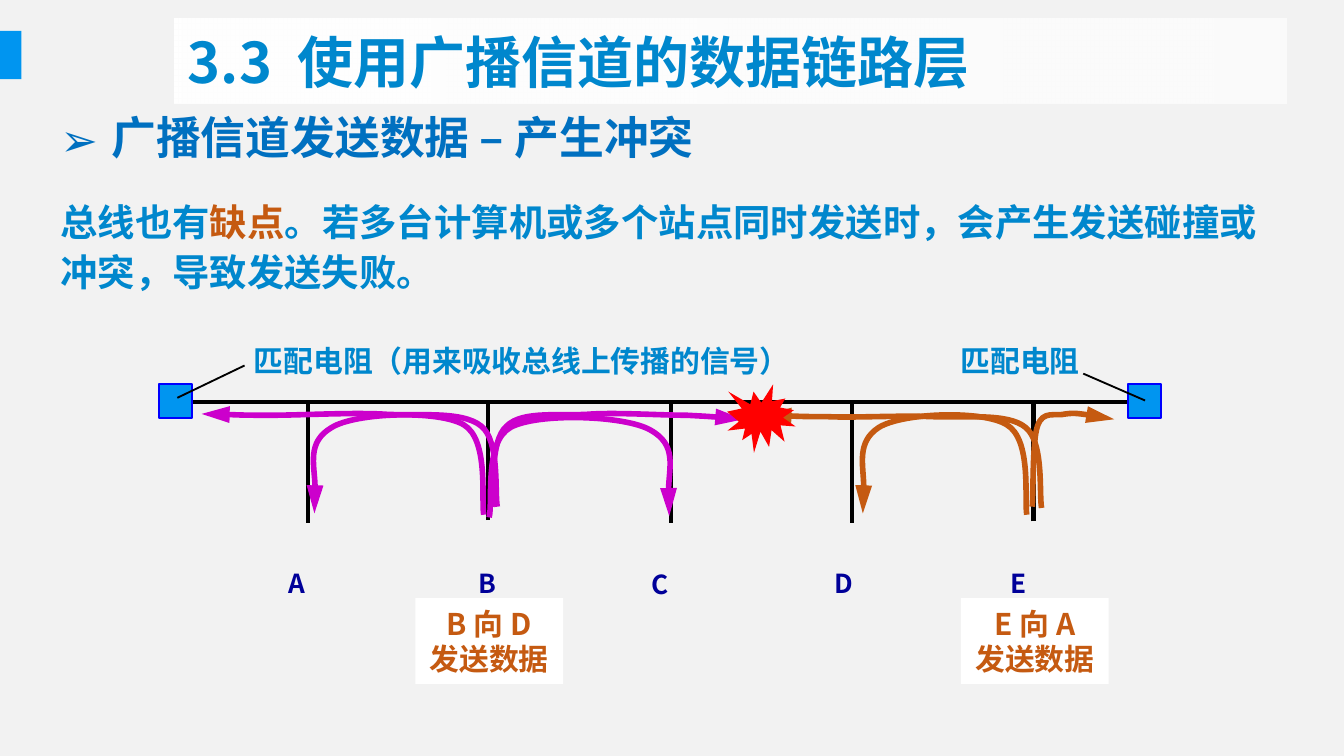
from dataclasses import dataclass

from lxml import etree
from pptx import Presentation
from pptx.dml.color import RGBColor
from pptx.enum.shapes import MSO_CONNECTOR, MSO_SHAPE
from pptx.enum.text import MSO_ANCHOR, PP_ALIGN
from pptx.oxml.ns import qn
from pptx.util import Inches, Pt

STRAIGHT = MSO_CONNECTOR.STRAIGHT
RECTANGLE = MSO_SHAPE.RECTANGLE
BURST = MSO_SHAPE.EXPLOSION1
LEFT = PP_ALIGN.LEFT
CENTER = PP_ALIGN.CENTER
MIDDLE = MSO_ANCHOR.MIDDLE


@dataclass(frozen=True)
class Theme:
    font: str = "Noto Sans CJK SC"
    background: str = "F2F2F2"
    white: str = "FFFFFF"
    black: str = "000000"
    accent: str = "0095F0"
    outline: str = "0000FF"
    body: str = "0087CD"
    heading: str = "0070C0"
    station: str = "000099"
    orange: str = "C55A11"
    magenta: str = "CC00CC"
    collision: str = "FF0000"
    title_size: int = 30
    heading_size: int = 24
    body_size: int = 20
    label_size: int = 16
    station_size: int = 14


THEME = Theme()

BUS_Y = 2.99
STATIONS = [
    ("A", 2.29, 3.89, 2.21, 4.17),
    ("B", 3.63, 3.87, 3.63, 4.17),
    ("C", 4.99, 3.89, 4.91, 4.18),
    ("D", 6.34, 3.89, 6.28, 4.17),
    ("E", 7.69, 3.88, 7.58, 4.17),
]
SIGNALS_FROM_B = [
    [(3.66, 3.77), (3.68, 3.67), (3.64, 3.28), (3.77, 3.17), (3.89, 3.05), (4.18, 3.1), (4.41, 3.08),
     (4.63, 3.07), (4.92, 3.09), (5.11, 3.09), (5.3, 3.1), (5.44, 3.11), (5.53, 3.12)],
    [(3.64, 3.85), (3.67, 3.73), (3.6, 3.29), (3.8, 3.18), (4, 3.07), (4.65, 3.09), (4.84, 3.2),
     (5.04, 3.31), (4.95, 3.71), (4.98, 3.84)],
    [(3.7, 3.77), (3.68, 3.67), (3.72, 3.28), (3.58, 3.17), (3.43, 3.05), (3.09, 3.1), (2.83, 3.08),
     (2.57, 3.07), (2.23, 3.09), (2.01, 3.09), (1.78, 3.09), (1.61, 3.08), (1.5, 3.08)],
    [(3.6, 3.83), (3.58, 3.72), (3.64, 3.27), (3.45, 3.16), (3.26, 3.05), (2.65, 3.07), (2.47, 3.18),
     (2.28, 3.29), (2.37, 3.69), (2.34, 3.82)],
]
SIGNALS_FROM_E = [
    [(7.68, 3.77), (7.69, 3.67), (7.68, 3.28), (7.72, 3.17), (7.76, 3.05), (7.85, 3.1), (7.93, 3.08),
     (8, 3.07), (8.09, 3.09), (8.15, 3.09), (8.21, 3.1), (8.26, 3.11), (8.29, 3.12)],
    [(7.75, 3.78), (7.73, 3.68), (7.77, 3.29), (7.63, 3.18), (7.5, 3.07), (7.17, 3.11), (6.93, 3.1),
     (6.68, 3.09), (6.36, 3.11), (6.15, 3.1), (5.94, 3.1), (5.77, 3.09), (5.68, 3.09)],
    [(7.64, 3.83), (7.62, 3.72), (7.68, 3.27), (7.49, 3.16), (7.31, 3.05), (6.72, 3.07), (6.54, 3.18),
     (6.37, 3.29), (6.45, 3.69), (6.42, 3.82)],
]


def color(value):
    return RGBColor.from_string(value)


def style_paragraph(paragraph, size, text_color, align=LEFT):
    paragraph.alignment = align
    paragraph.font.size = Pt(size)
    paragraph.font.bold = True
    paragraph.font.color.rgb = color(text_color)
    paragraph.font.name = THEME.font
    defaults = paragraph._p.pPr.find(qn("a:defRPr"))
    etree.SubElement(defaults, qn("a:ea"), typeface=THEME.font)


def add_block(slide, kind, box, fill, outline=None):
    shape = slide.shapes.add_shape(kind, *map(Inches, box))
    shape.shadow.inherit = False
    shape.fill.solid()
    shape.fill.fore_color.rgb = color(fill)
    if outline:
        shape.line.color.rgb = color(outline)
        shape.line.width = Pt(1)
    else:
        shape.line.fill.background()
    return shape


def add_text(slide, box, text, size, text_color, align=LEFT, wrap=False):
    shape = slide.shapes.add_textbox(*map(Inches, box))
    shape.text_frame.word_wrap = wrap
    paragraph = shape.text_frame.paragraphs[0]
    paragraph.text = text
    style_paragraph(paragraph, size, text_color, align)
    return paragraph


def add_line(slide, start, end, width):
    line = slide.shapes.add_connector(STRAIGHT, *map(Inches, (*start, *end)))
    line.line.color.rgb = color(THEME.black)
    line.line.width = Pt(width)
    etree.SubElement(line._element.spPr, qn("a:effectLst"))


def add_signal(slide, points, line_color):
    start, *rest = [(Inches(x), Inches(y)) for x, y in points]
    builder = slide.shapes.build_freeform(*start)
    builder.add_line_segments(rest, close=False)
    shape = builder.convert_to_shape()
    shape.shadow.inherit = False
    shape.fill.background()
    shape.line.color.rgb = color(line_color)
    shape.line.width = Pt(3)
    etree.SubElement(shape.line._get_or_add_ln(), qn("a:tailEnd"), type="triangle", len="lg")
    outline = next(shape._element.iter(qn("a:path")))
    segments = outline.findall(qn("a:lnTo"))
    for index in range(0, len(segments), 3):
        curve = etree.SubElement(outline, qn("a:cubicBezTo"))
        for segment in segments[index:index + 3]:
            curve.append(segment[0])
            outline.remove(segment)


def add_title(slide, text):
    shape = add_block(slide, RECTANGLE, (1.3, 0.14, 8.27, 0.63), THEME.white)
    shape.fill.gradient()
    shape.fill.gradient_angle = 0
    for stop in shape.fill.gradient_stops:
        stop.color.rgb = color(THEME.white)
    last_color = list(shape._element.spPr.iter(qn("a:srgbClr")))[-1]
    etree.SubElement(last_color, qn("a:alpha"), val="67000")
    shape.text_frame.vertical_anchor = MIDDLE
    paragraph = shape.text_frame.paragraphs[0]
    paragraph.text = text
    style_paragraph(paragraph, THEME.title_size, THEME.body)


def add_heading(slide, text):
    paragraph = add_text(slide, (0.35, 0.77, 9.21, 0.5), text, THEME.heading_size, THEME.heading, wrap=True)
    properties = paragraph._p.pPr
    properties.set("marL", str(Inches(0.38)))
    properties.set("indent", str(Inches(-0.38)))
    defaults = properties.find(qn("a:defRPr"))
    defaults.addprevious(etree.Element(qn("a:buFont"), typeface=THEME.font))
    defaults.addprevious(etree.Element(qn("a:buChar"), char="➢"))


def add_explanation(slide):
    paragraph = add_text(slide, (0.35, 1.39, 9.21, 0.86), "总线也有", THEME.body_size, THEME.body, wrap=True)
    paragraph.line_spacing = Pt(27)
    emphasis = paragraph.add_run()
    emphasis.text = "缺点"
    emphasis.font.color.rgb = color(THEME.orange)
    paragraph.add_run().text = "。若多台计算机或多个站点同时发送时，会产生发送碰撞或冲突，导致发送失败。"


def add_caption(slide, left, route):
    shape = add_block(slide, RECTANGLE, (left, 4.45, 1.1, 0.64), THEME.white)
    shape.text_frame.word_wrap = False
    shape.text_frame.text = f"{route}\n发送数据"
    for paragraph in shape.text_frame.paragraphs:
        style_paragraph(paragraph, THEME.label_size, THEME.orange, CENTER)


def add_bus(slide):
    add_line(slide, (1.38, BUS_Y), (8.55, BUS_Y), 2.25)
    for left in (1.18, 8.39):
        add_block(slide, RECTANGLE, (left, 2.86, 0.25, 0.25), THEME.accent, THEME.outline)
    add_line(slide, (1.82, 2.72), (1.32, 2.96), 1)
    add_line(slide, (8.06, 2.78), (8.52, 2.98), 1)
    for left, width, text in ((1.79, 4.24, "匹配电阻（用来吸收总线上传播的信号）"), (7.05, 1.1, "匹配电阻")):
        add_text(slide, (left, 2.5, width, 0.37), text, THEME.label_size, THEME.body)
    for name, x, bottom, label_x, label_y in STATIONS:
        add_line(slide, (x, bottom), (x, BUS_Y), 2.25)
        add_text(slide, (label_x - 0.17, label_y, 0.34, 0.34), name, THEME.station_size, THEME.station, CENTER)


def main():
    presentation = Presentation()
    presentation.slide_width = Inches(10)
    presentation.slide_height = presentation.slide_width * 9 // 16
    slide = presentation.slides.add_slide(presentation.slide_layouts[6])
    slide.background.fill.solid()
    slide.background.fill.fore_color.rgb = color(THEME.background)

    add_block(slide, RECTANGLE, (-0.01, 0.23, 0.17, 0.36), THEME.accent)
    add_explanation(slide)
    add_bus(slide)
    add_caption(slide, 3.09, "B 向 D")
    add_caption(slide, 7.15, "E 向 A")
    for signals, line_color in ((SIGNALS_FROM_B, THEME.magenta), (SIGNALS_FROM_E, THEME.orange)):
        for points in signals:
            add_signal(slide, points, line_color)
    add_block(slide, BURST, (5.41, 2.86, 0.51, 0.51), THEME.collision)
    add_title(slide, "3.3  使用广播信道的数据链路层")
    add_heading(slide, "广播信道发送数据 – 产生冲突")
    presentation.save("out.pptx")


if __name__ == "__main__":
    main()
